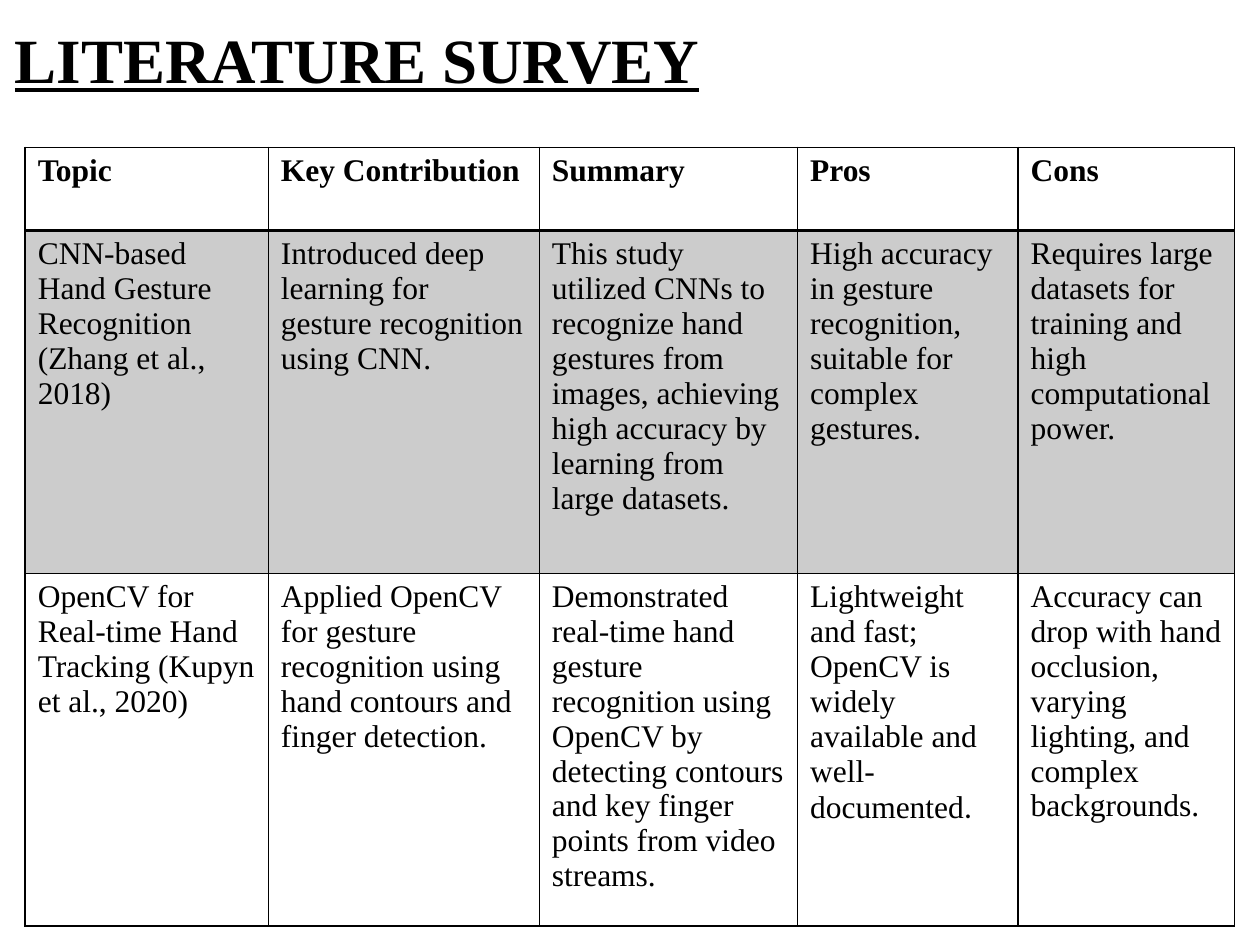
"""Build a literature survey slide with a title and a comparison table."""
from dataclasses import dataclass

from lxml import etree
from pptx import Presentation
from pptx.dml.color import RGBColor
from pptx.enum import text
from pptx.oxml import ns
from pptx.util import Inches, Pt


@dataclass(frozen=True)
class Theme:
    ink: RGBColor = RGBColor(0, 0, 0)
    font: str = "Times New Roman"
    stop_font: str = "Calibri"
    title_size: int = 36
    body_size: int = 18
    shade_percent: int = 20
    border: int = 1
    header_border: int = 2


THEME = Theme()
COLUMN_WIDTHS = (1.93, 2.15, 2.05, 1.75, 1.72)
ROW_HEIGHTS = (0.66, 2.72, 2.71)
SHADED_ROW = 1
SURVEY = (
    ("Topic", "Key Contribution", "Summary", "Pros", "Cons"),
    (
        "CNN-based Hand Gesture Recognition (Zhang et al., 2018)",
        "Introduced deep learning for gesture recognition using CNN.",
        "This study utilized CNNs to recognize hand gestures from images, "
        "achieving high accuracy by learning from large datasets.",
        "High accuracy in gesture recognition, suitable for complex gestures.",
        "Requires large datasets for training and high computational power.",
    ),
    (
        "OpenCV for Real-time Hand Tracking (Kupyn et al., 2020)",
        "Applied OpenCV for gesture recognition using hand contours and finger detection.",
        "Demonstrated real-time hand gesture recognition using OpenCV by "
        "detecting contours and key finger points from video streams.",
        "Lightweight and fast; OpenCV is widely available and well-documented",
        "Accuracy can drop with hand occlusion, varying lighting, and complex backgrounds.",
    ),
)


def style_font(font, size, bold):
    font.name = THEME.font
    font.size = Pt(size)
    font.bold = bold
    font.color.rgb = THEME.ink


def add_title(slide, wording):
    title = slide.shapes.add_textbox(0, 0, Inches(5.67), Inches(0.92))
    frame = title.text_frame
    frame.word_wrap = True
    frame.vertical_anchor = text.MSO_ANCHOR.MIDDLE
    heading = frame.paragraphs[0]
    heading.text = wording
    heading.alignment = text.PP_ALIGN.CENTER
    style_font(heading.font, THEME.title_size, True)
    heading.font.underline = True


def set_borders(cell, top, bottom):
    properties = cell._tc.get_or_add_tcPr()
    widths = {"L": THEME.border, "R": THEME.border, "T": top, "B": bottom}
    for side, width in widths.items():
        line = etree.SubElement(properties, ns.qn(f"a:ln{side}"), w=str(Pt(width)))
        fill = etree.SubElement(line, ns.qn("a:solidFill"))
        etree.SubElement(fill, ns.qn("a:srgbClr"), val=str(THEME.ink))


def shade(cell):
    cell.fill.solid()
    cell.fill.fore_color.rgb = THEME.ink
    color = cell._tc.tcPr.find(".//" + ns.qn("a:solidFill") + "[last()]")
    color = cell._tc.tcPr.find(ns.qn("a:solidFill")).find(ns.qn("a:srgbClr"))
    etree.SubElement(color, ns.qn("a:alpha"), val=str(THEME.shade_percent * 1000))


def fill_cell(cell, wording, row):
    entry = cell.text_frame.paragraphs[0]
    entry.text = wording
    style_font(entry.font, THEME.body_size, row == 0)
    set_borders(
        cell,
        THEME.header_border if row == 1 else THEME.border,
        THEME.header_border if row == 0 else THEME.border,
    )
    if row == SHADED_ROW:
        shade(cell)
    else:
        cell.fill.background()


def add_survey(slide):
    survey = slide.shapes.add_table(
        len(ROW_HEIGHTS), len(COLUMN_WIDTHS), Inches(0.2), Inches(1.17),
        Inches(sum(COLUMN_WIDTHS)), Inches(sum(ROW_HEIGHTS)),
    ).table
    survey.first_row = survey.horz_banding = False
    for column, width in zip(survey.columns, COLUMN_WIDTHS):
        column.width = Inches(width)
    for row, height in zip(survey.rows, ROW_HEIGHTS):
        row.height = Inches(height)
    for row, entries in enumerate(SURVEY):
        for column, wording in enumerate(entries):
            fill_cell(survey.cell(row, column), wording, row)
    full_stop = survey.cell(2, 3).text_frame.paragraphs[0].add_run()
    full_stop.text = "."
    full_stop.font.name = THEME.stop_font


def main():
    presentation = Presentation()
    presentation.slide_width = Inches(10)
    presentation.slide_height = Inches(7.5)
    slide = presentation.slides.add_slide(presentation.slide_layouts[6])
    add_title(slide, "LITERATURE SURVEY")
    add_survey(slide)
    presentation.save("out.pptx")


if __name__ == "__main__":
    main()
